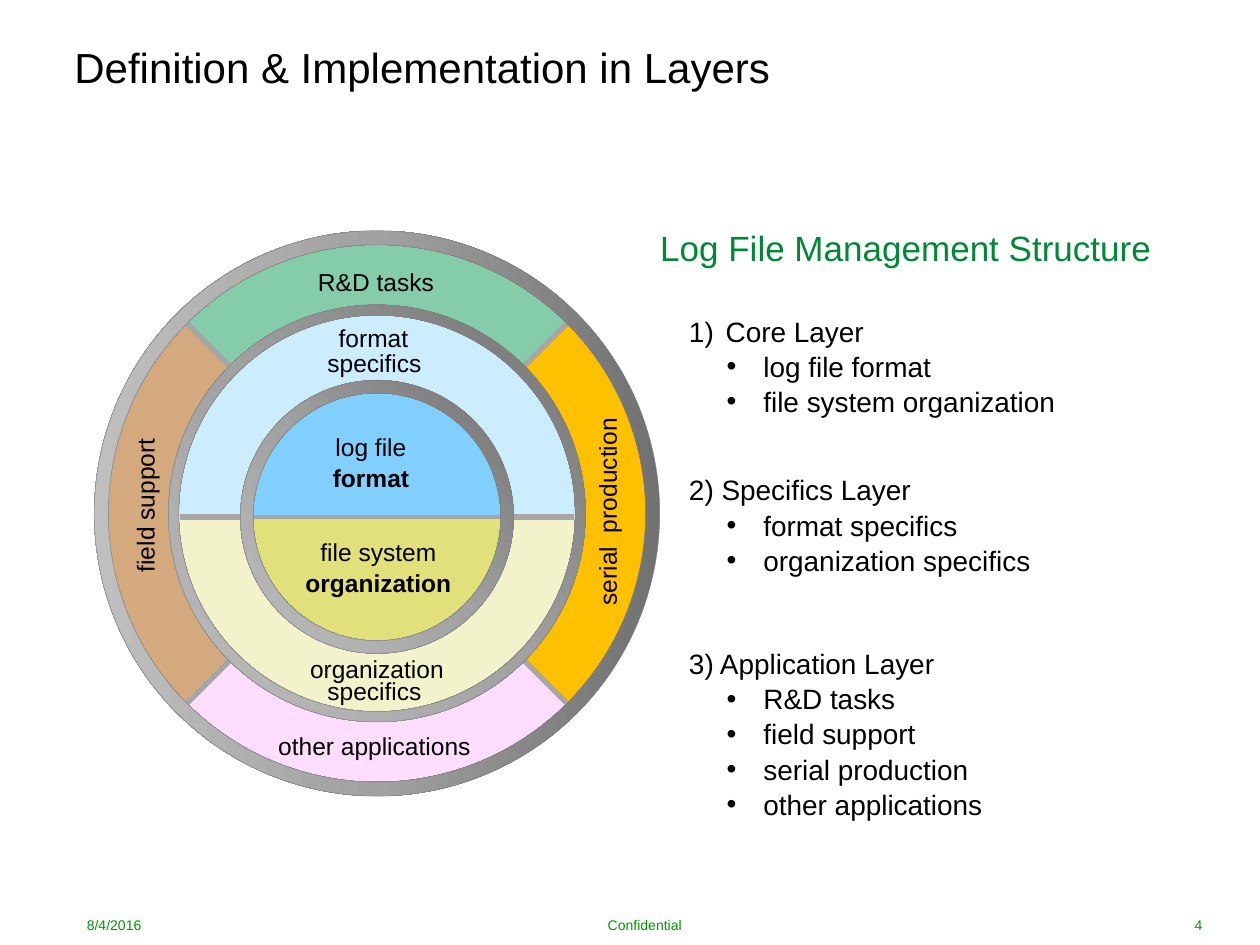
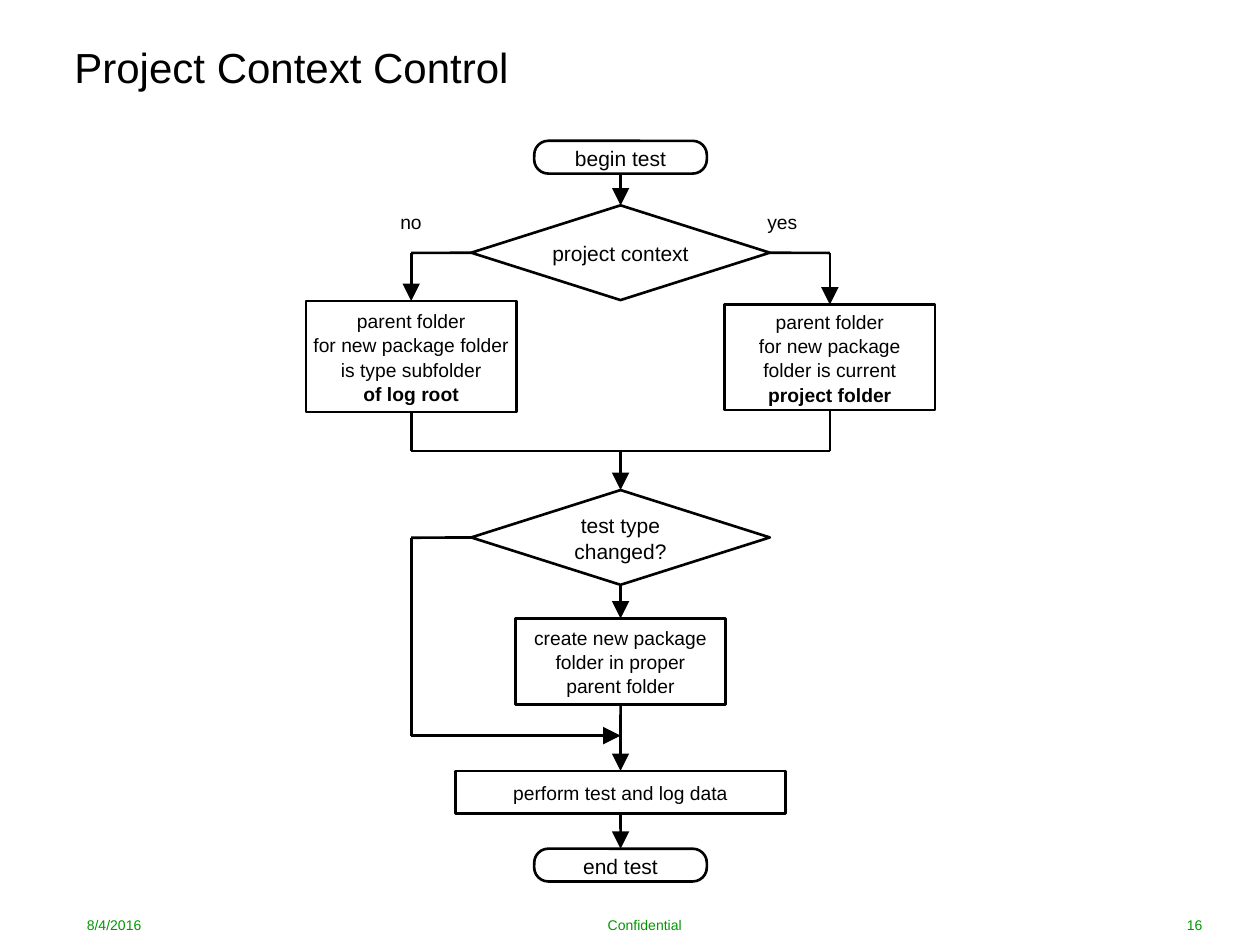
from collections import namedtuple
from copy import deepcopy
from math import cos, radians, sin

from lxml.etree import SubElement
from pptx import Presentation
from pptx.dml.color import RGBColor
from pptx.enum.shapes import MSO_CONNECTOR as Wire, MSO_SHAPE as Shape
from pptx.enum.text import MSO_ANCHOR as Anchor, MSO_AUTO_SIZE as AutoSize, PP_ALIGN as Align
from pptx.oxml.ns import qn
from pptx.util import Cm, Pt

FONT = "Arial"
BLACK, WHITE = "000000", "FFFFFF"
FOOTER_GREEN, HEADING_GREEN = "009800", "008837"
DIVIDER, RIM_LINE = "A6A6A6", "808080"
RIM_STOPS = [(0, "717171"), (0.5, "A1A1A1"), (1, "BFBFBF")]

Box = namedtuple("Box", "left top width height")
Port = namedtuple("Port", "shape site")
Layer = namedtuple("Layer", "disc rim thickness shift light_angle sectors")

LAYERS = {
    "application": Layer(11.2, 11.4, 0.025, 0, 180, [
        (225, 315, "85CCAB"), (315, 45, "FFC000"), (45, 135, "FFDDFF"), (135, 225, "D4A97E")]),
    "specifics": Layer(8.23, 8.41, 0.025, 0, 225, [(180, 0, "CCECFF"), (0, 180, "F3F3CB")]),
    "core": Layer(5.28, 5.51, 0.047, 0.07, 225, [(180, 0, "81CFFF"), (0, 180, "E2E07A")]),
}
MIDLINE = 0.07

RING_LABELS = [
    (["R&D tasks"], 5.68, 0.71, 0, False),
    (["field support"], 0.95, 5.28, 270, False),
    (["serial  production"], 10.27, 5.41, 270, False),
    (["other applications"], 5.65, 10.06, 0, False),
    (["format"], 5.63, 1.83, 0, False),
    (["specifics"], 5.65, 2.34, 0, False),
    (["organization"], 5.7, 8.51, 0, False),
    (["specifics"], 5.65, 8.94, 0, False),
    (["log file", "format"], 5.58, 4.04, 0, True),
    (["file system", "organization"], 5.73, 6.15, 0, True),
]

LEGEND = [
    (1.78, "Core Layer", ["log file format", "file system organization"]),
    (4.98, "2) Specifics Layer", ["format specifics", "organization specifics"]),
    (8.48, "3) Application Layer",
     ["R&D tasks", "field support", "serial production", "other applications"]),
]


def color(hex_text):
    return RGBColor.from_string(hex_text)


def write(shape, lines, size, align=Align.LEFT, ink=BLACK, anchor=Anchor.TOP,
          margin=0, bold_last=False):
    frame = shape.text_frame
    frame.word_wrap = False
    frame.auto_size = AutoSize.NONE
    frame.vertical_anchor = anchor
    frame.margin_left = frame.margin_right = Cm(margin)
    frame.margin_top = frame.margin_bottom = 0
    frame.text = "\n".join(lines)
    for para in frame.paragraphs:
        para.alignment = align
        para.line_spacing = 1.05
        para.font.name = FONT
        para.font.size = Pt(size)
        para.font.color.rgb = color(ink)
    if bold_last:
        frame.paragraphs[-1].font.bold = True
    return frame.paragraphs


def add_label(page, box, lines, size, **style):
    label = page.shapes.add_textbox(*map(Cm, box))
    write(label, lines, size, **style)
    return label


def add_shape(page, kind, box, fill=None, line=None, weight=1.5):
    shape = page.shapes.add_shape(kind, *map(Cm, box))
    shape.shadow.inherit = False
    if fill:
        shape.fill.solid()
        shape.fill.fore_color.rgb = color(fill)
    else:
        shape.fill.background()
    if line:
        shape.line.color.rgb = color(line)
        shape.line.width = Pt(weight)
    else:
        shape.line.fill.background()
    return shape


def add_line(page, start, end, ink=BLACK, weight=1.5, arrow=False):
    ends = [(0, 0) if isinstance(stop, Port) else tuple(map(Cm, stop)) for stop in (start, end)]
    line = page.shapes.add_connector(Wire.STRAIGHT, *ends[0], *ends[1])
    if isinstance(start, Port):
        line.begin_connect(*start)
    if isinstance(end, Port):
        line.end_connect(*end)
    line.line.color.rgb = color(ink)
    line.line.width = Pt(weight)
    if arrow:
        SubElement(line.line._get_or_add_ln(), qn("a:tailEnd"), type="triangle", w="lg", len="lg")
    SubElement(line._element.spPr, qn("a:effectLst"))
    return line


def add_route(page, *stops, arrow=True):
    last = len(stops) - 2
    for index, (start, end) in enumerate(zip(stops, stops[1:])):
        add_line(page, start, end, arrow=arrow and index == last)


def set_bullet(para, left, kind, **mark):
    properties = para._p.get_or_add_pPr()
    properties.set("marL", str(Cm(left)))
    properties.set("indent", str(-Cm(0.74)))
    font = properties.makeelement(qn("a:buFont"), typeface=FONT)
    bullet = properties.makeelement(qn(kind), **mark)
    defaults = properties.find(qn("a:defRPr"))
    defaults.addprevious(font)
    defaults.addprevious(bullet)


def add_page(deck, title, number):
    page = deck.slides.add_slide(deck.slide_layouts[5])
    heading = page.shapes.title
    heading.left, heading.top, heading.width, heading.height = map(Cm, (1.5, 0.51, 18, 1.6))
    write(heading, [title], 24, anchor=Anchor.MIDDLE)
    for left, width, text, align in [(1.5, 3.99, "8/4/2016", Align.LEFT),
                                     (6.5, 13, "Confidential", Align.CENTER),
                                     (20.5, 3.99, number, Align.RIGHT)]:
        add_label(page, (left, 18.39, width, 0.51), [text], 8, align=align,
                  ink=FOOTER_GREEN, anchor=Anchor.MIDDLE, margin=0.25)
    return page


def centered(x, y, size):
    return Box(x - size / 2, y - size / 2, size, size)


def add_sectors(page, layer, x, y):
    for start, end, fill in layer.sectors:
        sector = add_shape(page, Shape.PIE, centered(x, y, layer.disc), fill)
        sector.adjustments[0] = start * 0.6
        sector.adjustments[1] = end * 0.6


def add_rim(page, layer, x, y):
    rim = add_shape(page, Shape.DONUT, centered(x, y + layer.shift, layer.rim), WHITE,
                    RIM_LINE, 0.25)
    rim.adjustments[0] = layer.thickness
    rim.fill.gradient()
    rim.fill.gradient_angle = layer.light_angle
    stop_list = rim._element.spPr.find(".//" + qn("a:gsLst"))
    stop_list.insert(1, deepcopy(stop_list[0]))
    for stop, (position, shade) in zip(rim.fill.gradient_stops, RIM_STOPS):
        stop.position = position
        stop.color.rgb = color(shade)


def add_wheel(page, box):
    x, y = box.left + box.width / 2, box.top + box.height / 2
    middle = y + MIDLINE

    add_sectors(page, LAYERS["application"], x, y)
    add_rim(page, LAYERS["application"], x, y)
    for angle in range(45, 360, 90):
        across, down = cos(radians(angle)), sin(radians(angle))
        add_line(page, (x + 4 * across, y + 4 * down), (x + 5.4 * across, y + 5.4 * down),
                 DIVIDER, 3)

    add_sectors(page, LAYERS["specifics"], x, middle)
    add_rim(page, LAYERS["specifics"], x, y)
    for side in (-1, 1):
        add_line(page, (x + side * 2.55, middle), (x + side * 3.97, middle), DIVIDER, 3)

    add_sectors(page, LAYERS["core"], x, middle)
    add_line(page, (x - 2.7, middle), (x + 2.7, middle), DIVIDER, 2.25)
    add_rim(page, LAYERS["core"], x, y)

    width = 3.33
    for lines, center, top, turn, bold_last in RING_LABELS:
        label = add_label(page, (box.left + center - width / 2, box.top + top, width, 0.51),
                          lines, 14, align=Align.CENTER, bold_last=bold_last)
        label.rotation = turn


def add_legend(page, box):
    add_label(page, (box.left, box.top, box.width, 1.27), ["Log File Management Structure"],
              20, ink=HEADING_GREEN)
    for top, name, items in LEGEND:
        section = page.shapes.add_textbox(Cm(box.left + 0.58), Cm(box.top + top),
                                          Cm(8.61), Cm(0.74 * (len(items) + 1)))
        head, *bullets = write(section, [name, *items], 16)
        if not name[0].isdigit():
            set_bullet(head, 0.74, "a:buAutoNum", type="arabicParenR")
        for para in bullets:
            set_bullet(para, 1.5, "a:buChar", char="•")


def add_flowchart(page, box):
    axis = box.left + box.width / 2
    left, right = axis - 4.22, axis + 4.22

    def node(kind, center, top, width, height, lines, size=11, bold_last=False):
        fill = WHITE if kind == Shape.RECTANGLE else None
        shape = add_shape(page, kind, (center - width / 2, box.top + top, width, height),
                          fill, BLACK)
        write(shape, lines, size, Align.CENTER, anchor=Anchor.MIDDLE, bold_last=bold_last)
        return shape

    def terminal(top, text):
        shape = node(Shape.ROUNDED_RECTANGLE, axis, top, 3.48, 0.66, [text], 12)
        shape.adjustments[0] = 0.43
        return shape

    def decision(top, lines):
        return node(Shape.FLOWCHART_DECISION, axis, top, 6.02, 1.91, lines, 12)

    begin = terminal(0, "begin test")
    context = decision(1.3, ["project context"])
    log_root = node(Shape.RECTANGLE, left, 3.23, 4.24, 2.24,
                    ["parent folder", "for new package folder", "is type subfolder",
                     "of log root"], bold_last=True)
    project = node(Shape.RECTANGLE, right, 3.3, 4.24, 2.13,
                   ["parent folder", "for new package", "folder is current",
                    "project folder"], bold_last=True)
    changed = decision(7.04, ["test type", "changed?"])
    create = node(Shape.RECTANGLE, axis, 9.63, 4.24, 1.73,
                  ["create new package", "folder in proper", "parent folder"])
    perform = node(Shape.RECTANGLE, axis, 12.7, 6.65, 0.86, ["perform test and log data"])
    end = terminal(14.27, "end test")

    for upper, lower in [(begin, context), (changed, create), (create, perform), (perform, end)]:
        add_route(page, Port(upper, 2), Port(lower, 0))

    branch_y, merge_y = box.top + 2.26, box.top + 6.25
    for side, center, folder in [(1, left, log_root), (3, right, project)]:
        add_route(page, Port(context, side), (center, branch_y), Port(folder, 0))
        add_route(page, Port(folder, 2), (center, merge_y), (axis, merge_y), arrow=False)
    add_route(page, (axis, merge_y), Port(changed, 0))

    skip_y = box.top + 11.99
    add_route(page, Port(changed, 1), (left, box.top + 8), (left, skip_y), (axis, skip_y))

    for text, offset in [("no", 1.9), ("yes", 9.3)]:
        add_label(page, (box.left + offset, box.top + 1.37, 2.54, 0.36), [text], 11)


def main():
    deck = Presentation()
    deck.slide_width, deck.slide_height = Cm(25.4), Cm(19.05)

    layers_page = add_page(deck, "Definition & Implementation in Layers", "4")
    add_wheel(layers_page, Box(1.9, 4.65, 11.4, 11.4))
    add_legend(layers_page, Box(13.31, 4.52, 10.67, 12.2))

    control_page = add_page(deck, "Project Context Control", "16")
    add_flowchart(control_page, Box(6.17, 2.84, 12.68, 14.94))

    deck.save("out.pptx")


if __name__ == "__main__":
    main()
